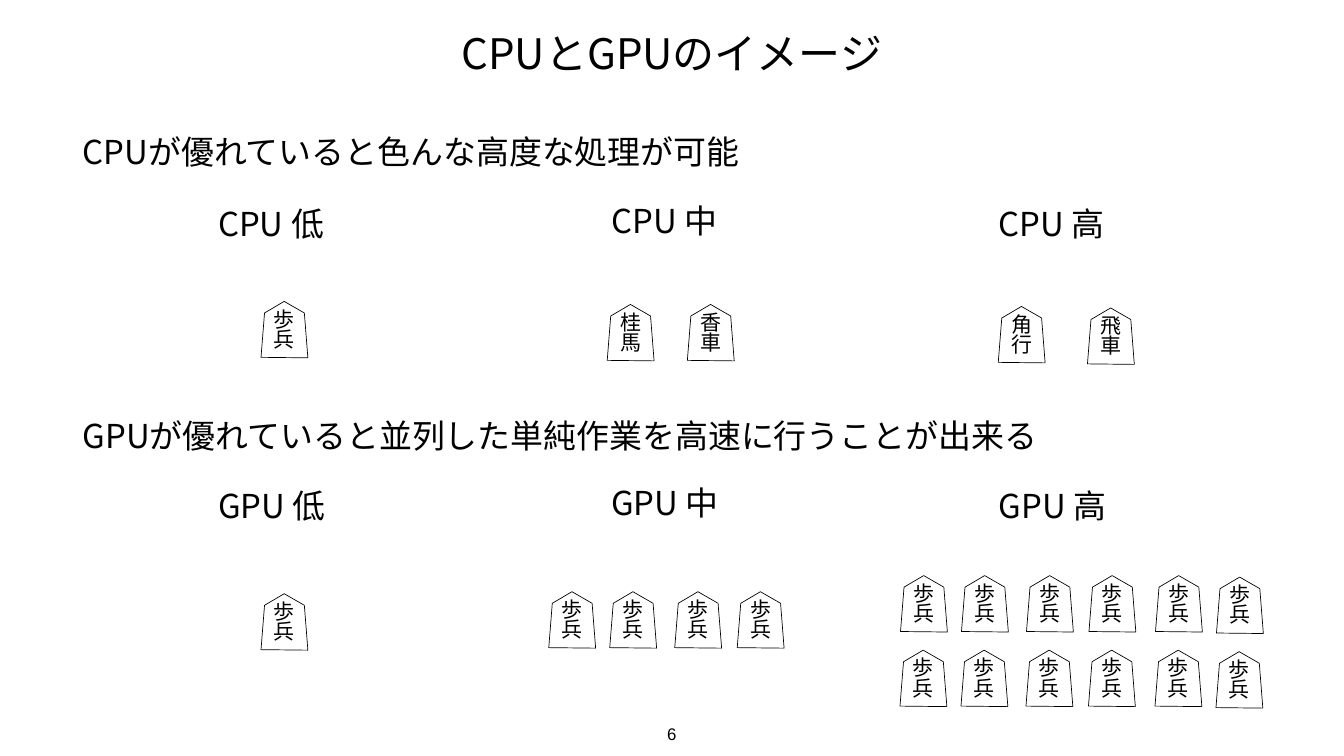
"""Build the slide that pictures CPU and GPU performance with shogi pieces."""
from lxml.etree import SubElement
from pptx import Presentation
from pptx.dml.color import RGBColor
from pptx.enum.text import MSO_ANCHOR as Anchor, MSO_AUTO_SIZE as AutoSize, PP_ALIGN as Align
from pptx.oxml.ns import qn
from pptx.util import Inches, Pt

COLORS = {"ink": "000000", "background": "FFFFFF"}
JAPANESE = "Noto Sans CJK JP"
PIECE_OUTLINE = [(0, 1.11), (0.93, 1.12), (0.86, 0.23), (0.46, 0), (0.07, 0.23)]
PAWN_OFFSETS = [0, 1.21, 2.5, 3.74, 5.06, 6.27]


def write_text(shape, text, box, size, align=Align.LEFT, wrap=False, font=JAPANESE):
    shape.left, shape.top, shape.width, shape.height = [Inches(value) for value in box]
    frame = shape.text_frame
    frame.margin_left = frame.margin_right = Inches(0.06)
    frame.margin_top = frame.margin_bottom = Inches(0.06)
    frame.auto_size = AutoSize.NONE
    frame.word_wrap = wrap
    frame.vertical_anchor = Anchor.MIDDLE
    frame.text = text
    paragraph = frame.paragraphs[0]
    paragraph.alignment = align
    paragraph.line_spacing = 0.8 if wrap else 1.0
    paragraph.font.size = Pt(size)
    paragraph.font.name = font
    paragraph.font.color.rgb = RGBColor.from_string(COLORS["ink"])
    properties = paragraph.runs[0].font
    properties.name = font
    SubElement(properties._element, qn("a:ea")).set("typeface", font)


def add_piece(shapes, name, left, top):
    points = [(Inches(left + x), Inches(top + y)) for x, y in PIECE_OUTLINE]
    builder = shapes.build_freeform(*points[0])
    builder.add_line_segments(points[1:], close=True)
    piece = builder.convert_to_shape()
    piece.shadow.inherit = False
    piece.fill.background()
    piece.line.color.rgb = RGBColor.from_string(COLORS["ink"])
    piece.line.width = Pt(1)
    label = shapes.add_textbox(0, 0, 0, 0)
    write_text(label, name, (left + 0.11, top + 0.03, 0.71, 1.12), 30, Align.CENTER, wrap=True)


presentation = Presentation()
presentation.slide_width = Inches(26.67)
presentation.slide_height = Inches(15)
slide = presentation.slides.add_slide(presentation.slide_layouts[5])
slide.background.fill.solid()
slide.background.fill.fore_color.rgb = RGBColor.from_string(COLORS["background"])
shapes = slide.shapes

write_text(shapes.title, "CPUとGPUのイメージ", (8.79, 0.49, 9.08, 1.12), 60, Align.CENTER)

headings = [
    ("CPUが優れていると色んな高度な処理が可能", 2.56, 13.51),
    ("GPUが優れていると並列した単純作業を高速に行うことが出来る", 8.18, 19.45),
]
for text, top, width in headings:
    write_text(shapes.add_textbox(0, 0, 0, 0), text, (1.58, top, width, 0.9), 47)

levels = [("低", 4.27, 0), ("中", 12.07, -0.06), ("高", 19.76, 0)]
for processor, top in [("CPU", 3.99), ("GPU", 9.58)]:
    for level, left, shift in levels:
        label = shapes.add_textbox(0, 0, 0, 0)
        write_text(label, f"{processor} {level}", (left, top + shift, 2.53, 0.9), 47)

cpu_pieces = [
    ("歩兵", 5.18, 5.98),
    ("桂馬", 12.05, 6.04),
    ("香車", 13.64, 6.04),
    ("角行", 19.81, 6.08),
    ("飛車", 21.58, 6.11),
]
for name, left, top in cpu_pieces:
    add_piece(shapes, name, left, top)

pawn_rows = [(1, 5.18, 11.78), (4, 10.89, 11.74), (6, 17.87, 11.42), (6, 17.86, 12.9)]
for count, left, top in pawn_rows:
    for index, offset in enumerate(PAWN_OFFSETS[:count]):
        add_piece(shapes, "歩兵", left + offset, top + (0.03 if index == 5 else 0))

page_number = shapes.add_textbox(0, 0, 0, 0)
write_text(page_number, "6", (13.08, 14.31, 0.5, 0.5), 24, Align.CENTER, font="Arial")

presentation.save("out.pptx")
